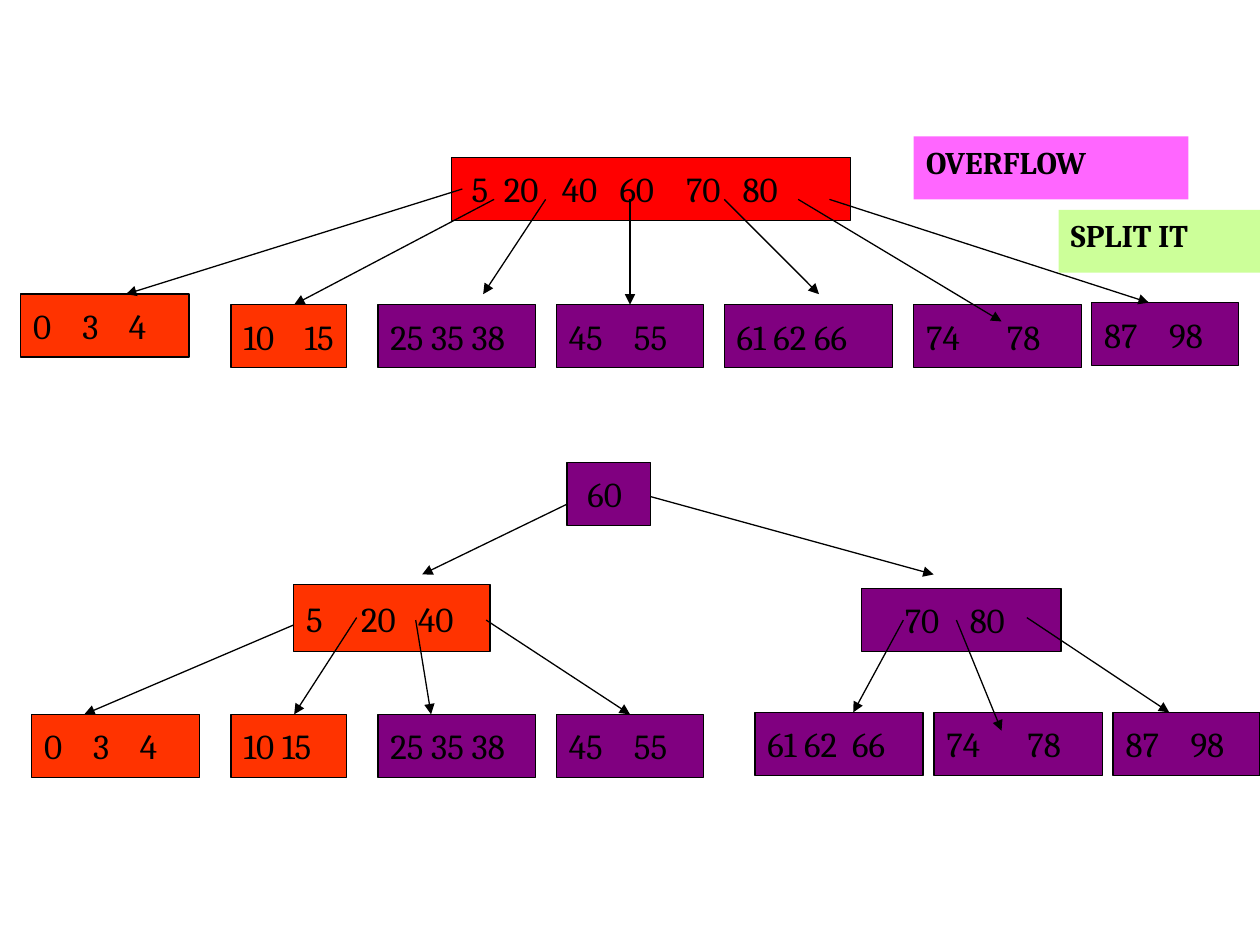
from lxml.etree import SubElement
from pptx import Presentation
from pptx.dml.color import RGBColor
from pptx.enum.shapes import MSO_CONNECTOR, MSO_SHAPE
from pptx.enum.text import MSO_ANCHOR, PP_ALIGN
from pptx.oxml.ns import qn
from pptx.util import Cm, Pt

RED, ORANGE, PURPLE = "FF0000", "FF3300", "800080"


def add_box(text, x, y, w, h=1.27, fill=PURPLE, line="000000", size=20, bold=False,
            anchor=MSO_ANCHOR.MIDDLE, lead=0, tabs=()):
    """Lengths are in cm; tabs are measured from the first key."""
    sp = s.shapes.add_shape(MSO_SHAPE.RECTANGLE, Cm(x), Cm(y), Cm(w), Cm(h))
    sp.shadow.inherit = False
    sp.fill.solid()
    sp.fill.fore_color.rgb = RGBColor.from_string(fill)
    if line:
        sp.line.color.rgb = RGBColor.from_string(line)
        sp.line.width = Pt(0.75)
    else:
        sp.line.fill.background()
    tf = sp.text_frame
    tf.word_wrap = True
    tf.vertical_anchor = anchor
    tf.margin_left = Cm(0.25 + lead)
    tf.margin_right = 0
    p = tf.paragraphs[0]
    p.alignment = PP_ALIGN.LEFT
    if tabs:
        stops = SubElement(p._p.get_or_add_pPr(), qn("a:tabLst"))
        for pos in tabs:
            SubElement(stops, qn("a:tab"), pos=str(Cm(pos)), algn="l")
    r = p.add_run()
    r.text = text
    r.font.name = "Cambria"
    r.font.size = Pt(size)
    r.font.bold = bold
    r.font.color.rgb = RGBColor.from_string("000000")


def add_arrows(edges):
    for points in edges:
        c = s.shapes.add_connector(MSO_CONNECTOR.STRAIGHT, *[Cm(v) for v in points])
        c.line.color.rgb = RGBColor.from_string("000000")
        c.line.width = Pt(0.75)
        SubElement(c.line._get_or_add_ln(), qn("a:tailEnd"), type="triangle")
        SubElement(c._element.spPr, qn("a:effectLst"))


prs = Presentation()
prs.slide_width, prs.slide_height = Cm(25.4), Cm(19.05)
s = prs.slides.add_slide(prs.slide_layouts[6])

# Edges that start behind their parent node
add_arrows([
    (11.85, 9.96, 8.51, 11.58),
    (12.93, 9.96, 18.82, 11.58),
    (6.15, 12.5, 1.7, 14.4),
])

# Inner nodes: the overflowing root, then the tree after the split
add_box("5\t20\t40\t60\t70\t80", 9.1, 3.17, 8.05, fill=RED, lead=0.16,
        tabs=(0.65, 1.82, 2.98, 4.32, 5.46))
add_box("60", 11.43, 9.32, 1.69, lead=0.16)
add_box("5\t20\t40", 5.92, 11.78, 3.96, 1.36, fill=ORANGE, tabs=(1.11, 2.26))
add_box("70\t80", 17.37, 11.86, 4.02, lead=0.62, tabs=(1.31,))

# Leaves: text, width, fill, tabs, then left and top before and after the split
leaves = [
    ("0\t3\t4", 3.39, ORANGE, (0.99, 1.93), (0.42, 5.93), (0.64, 14.4)),
    ("10\t15", 2.33, ORANGE, (1.23,), (4.66, 6.14), None),
    ("10 15", 2.33, ORANGE, (), None, (4.66, 14.4)),
    ("25 35 38", 3.18, PURPLE, (), (7.62, 6.14), (7.62, 14.4)),
    ("45\t55", 2.96, PURPLE, (1.31,), (11.22, 6.14), (11.22, 14.4)),
    ("61 62 66", 3.39, PURPLE, (), (14.6, 6.14), None),
    ("61 62\t66", 3.39, PURPLE, (1.71,), None, (15.22, 14.36)),
    ("74\t78", 3.39, PURPLE, (1.63,), (18.42, 6.14), (18.83, 14.36)),
    ("87\t98", 2.96, PURPLE, (1.31,), (22.01, 6.1), (22.44, 14.36)),
]
for text, w, fill, tabs, *places in leaves:
    for place in places:
        if place:
            add_box(text, *place, w, fill=fill, tabs=tabs)

# Edges from the overflowing root
add_arrows([
    (9.32, 3.81, 2.54, 5.93),
    (9.96, 4.02, 5.93, 6.14),
    (11, 4.02, 9.74, 5.93),
    (12.7, 4.02, 12.7, 6.14),
    (14.6, 4.02, 16.51, 5.93),
    (16.09, 4.02, 20.19, 6.48),
    (16.72, 4.02, 23.16, 6.1),
])

# Edges from the split nodes
add_arrows([
    (7.19, 12.45, 5.93, 14.4),
    (8.38, 12.5, 8.69, 14.4),
    (9.8, 12.5, 12.7, 14.4),
    (18.21, 12.5, 17.2, 14.36),
    (19.28, 12.5, 20.19, 14.73),
    (20.7, 12.45, 23.57, 14.36),
])

for text, x, y, w, fill in [("OVERFLOW", 18.42, 2.75, 5.54, "FF66FF"),
                            ("SPLIT IT", 21.34, 4.23, 4.06, "CCFF99")]:
    add_box(text, x, y, w, fill=fill, line=None, size=18, bold=True, anchor=MSO_ANCHOR.TOP)

prs.save("out.pptx")
